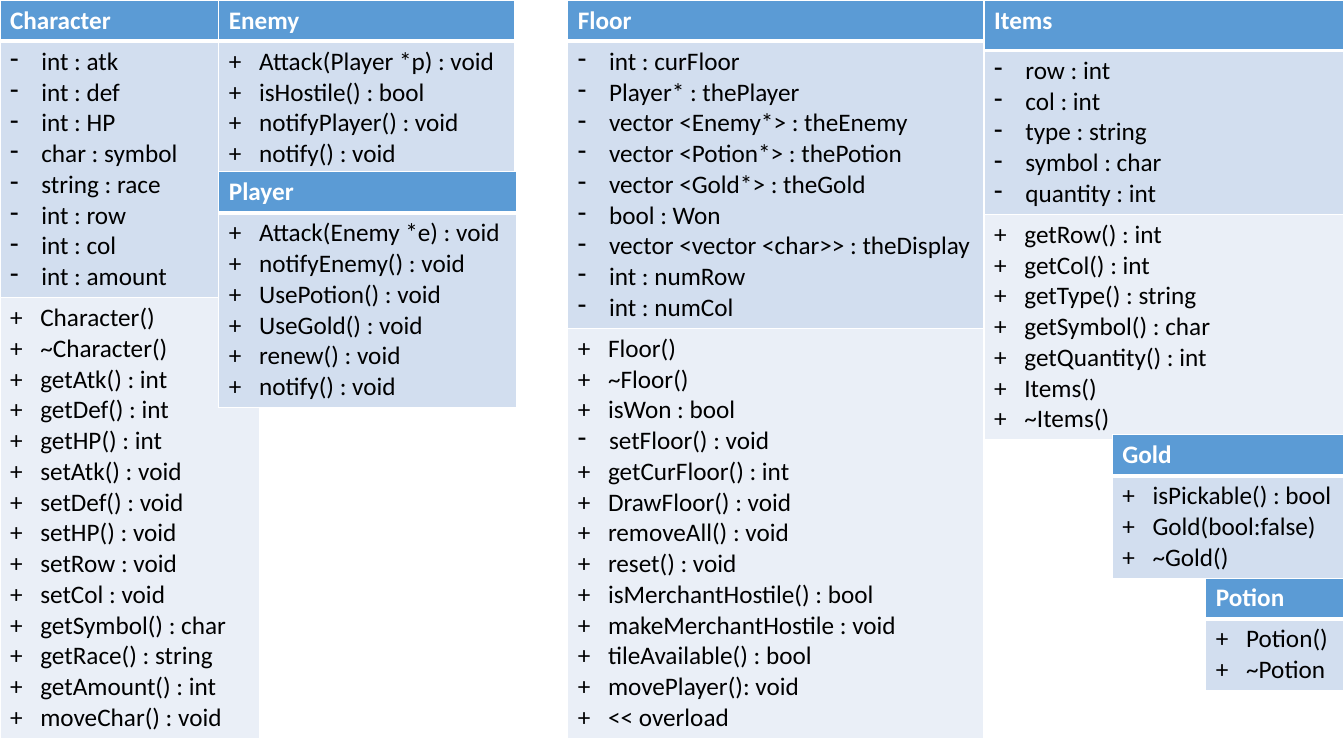
from dataclasses import dataclass

from lxml.etree import SubElement
from pptx import Presentation
from pptx.dml.color import RGBColor
from pptx.oxml.ns import qn
from pptx.util import Inches, Pt

WHITE = RGBColor(0xFF, 0xFF, 0xFF)
BLACK = RGBColor(0x00, 0x00, 0x00)
HEADER_BLUE = RGBColor(0x5B, 0x9B, 0xD5)
BAND_FILLS = (RGBColor(0xD2, 0xDE, 0xEF), RGBColor(0xEA, 0xEF, 0xF7))

SLIDE_WIDTH = Inches(13.33)
SLIDE_HEIGHT = Inches(7.5)
COLUMN = SLIDE_WIDTH / 100
ROW = SLIDE_HEIGHT / 100
LINE_ROWS = 4.07
PADDING_ROWS = 1.33
PRIVATE_INDENT = Inches(0.31)
PUBLIC_INDENT = Inches(0.3)


@dataclass(frozen=True)
class ClassBox:
    title: str
    left: float
    top: float
    width: float
    sections: tuple[tuple[str, ...], ...]
    header_rows: float = 5.47


CLASS_BOXES = (
    ClassBox("Items", 73.22, 0, 26.78, (
        ("- row : int", "- col : int", "- type : string", "- symbol : char",
         "- quantity : int"),
        ("+ getRow() : int", "+ getCol() : int", "+ getType() : string",
         "+ getSymbol() : char", "+ getQuantity() : int", "+ Items()", "+ ~Items()"),
    ), header_rows=6.67),
    ClassBox("Potion", 89.72, 76.4, 10.28, (
        ("+ Potion()", "+ ~Potion"),
    )),
    ClassBox("Gold", 82.75, 57.47, 17.25, (
        ("+ isPickable() : bool", "+ Gold(bool:false)", "+ ~Gold()"),
    )),
    ClassBox("Character", 0, 0, 19.35, (
        ("- int : atk", "- int : def", "- int : HP", "- char : symbol",
         "- string : race", "- int : row", "- int : col", "- int : amount"),
        ("+ Character()", "+ ~Character()", "+ getAtk() : int", "+ getDef() : int",
         "+ getHP() : int", "+ setAtk() : void", "+ setDef() : void",
         "+ setHP() : void", "+ setRow : void", "+ setCol : void",
         "+ getSymbol() : char", "+ getRace() : string", "+ getAmount() : int",
         "+ moveChar() : void"),
    )),
    ClassBox("Enemy", 16.28, 0, 21.98, (
        ("+ Attack(Player *p) : void", "+ isHostile() : bool",
         "+ notifyPlayer() : void", "+ notify() : void"),
    )),
    ClassBox("Player", 16.28, 22.67, 22.13, (
        ("+ Attack(Enemy *e) : void", "+ notifyEnemy() : void",
         "+ UsePotion() : void", "+ UseGold() : void", "+ renew() : void",
         "+ notify() : void"),
    )),
    ClassBox("Floor", 42.24, 0, 30.98, (
        ("- int : curFloor", "- Player* : thePlayer", "- vector <Enemy*> : theEnemy",
         "- vector <Potion*> : thePotion", "- vector <Gold*> : theGold",
         "- bool : Won", "- vector <vector <char>> : theDisplay",
         "- int : numRow", "- int : numCol"),
        ("+ Floor()", "+ ~Floor()", "+ isWon : bool", "- setFloor() : void",
         "+ getCurFloor() : int", "+ DrawFloor() : void", "+ removeAll() : void",
         "+ reset() : void", "+ isMerchantHostile() : bool",
         "+ makeMerchantHostile : void", "+ tileAvailable() : bool",
         "+ movePlayer(): void", "+ << overload"),
    )),
)


def paint_cell(cell, fill: RGBColor, bottom_width: float) -> None:
    properties = cell._tc.get_or_add_tcPr()
    for side, width in (("L", 1), ("R", 1), ("T", 1), ("B", bottom_width)):
        border = SubElement(properties, qn(f"a:ln{side}"), w=str(Pt(width)))
        border_fill = SubElement(border, qn("a:solidFill"))
        SubElement(border_fill, qn("a:srgbClr"), val=str(WHITE))
    cell.fill.solid()
    cell.fill.fore_color.rgb = fill


def write_line(paragraph, text: str, color: RGBColor, bold: bool) -> None:
    paragraph.text = text
    font = paragraph.runs[0].font
    font.name = "Calibri"
    font.size = Pt(18)
    font.bold = bold
    font.color.rgb = color


def write_member(paragraph, member: str) -> None:
    visibility, _, signature = member.partition(" ")
    private = visibility == "-"
    write_line(paragraph, signature if private else f"+\t{signature}", BLACK, False)
    indent = PRIVATE_INDENT if private else PUBLIC_INDENT
    properties = paragraph._p.get_or_add_pPr()
    properties.set("marL", str(indent))
    properties.set("indent", str(-indent))
    if private:
        SubElement(properties, qn("a:buChar"), char="-")
    else:
        SubElement(properties, qn("a:buNone"))


def draw_class_box(slide, box: ClassBox) -> None:
    heights = [box.header_rows] + [
        PADDING_ROWS + LINE_ROWS * len(members) for members in box.sections
    ]
    grid = slide.shapes.add_table(
        len(heights), 1, round(box.left * COLUMN), round(box.top * ROW),
        round(box.width * COLUMN), round(sum(heights) * ROW),
    ).table
    grid.first_row = False
    grid.horz_banding = False
    for grid_row, height in zip(grid.rows, heights):
        grid_row.height = round(height * ROW)

    header = grid.cell(0, 0)
    paint_cell(header, HEADER_BLUE, 3)
    write_line(header.text_frame.paragraphs[0], box.title, WHITE, True)

    for index, (members, fill) in enumerate(zip(box.sections, BAND_FILLS), start=1):
        section = grid.cell(index, 0)
        paint_cell(section, fill, 1)
        section.text_frame.text = "\n".join(members)
        for paragraph, member in zip(section.text_frame.paragraphs, members):
            write_member(paragraph, member)


def main() -> None:
    presentation = Presentation()
    presentation.slide_width = SLIDE_WIDTH
    presentation.slide_height = SLIDE_HEIGHT
    slide = presentation.slides.add_slide(presentation.slide_layouts[6])
    for box in CLASS_BOXES:
        draw_class_box(slide, box)
    presentation.save("out.pptx")


if __name__ == "__main__":
    main()
